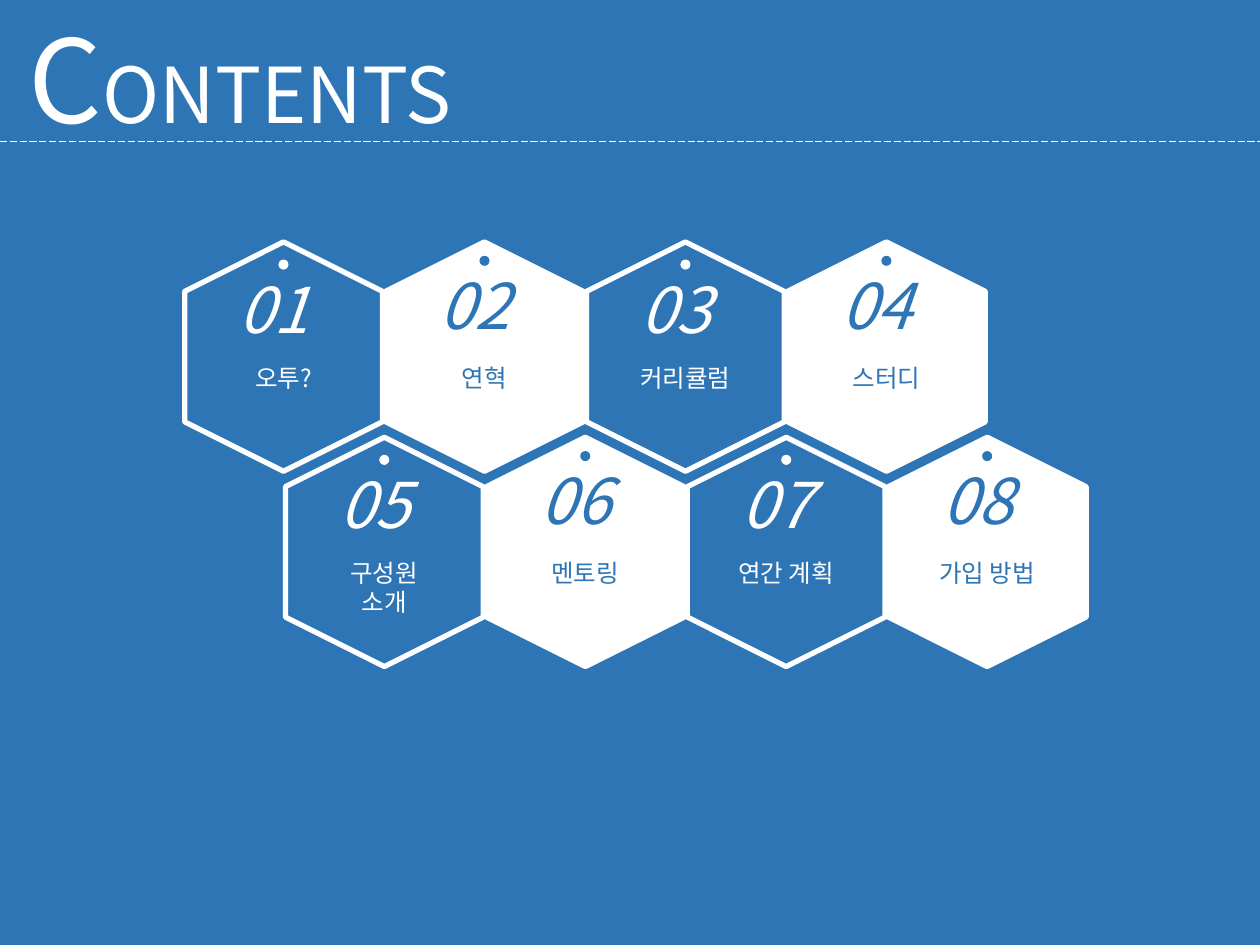
import pptx
import pptx.dml.color
import pptx.enum.dml
import pptx.enum.shapes
import pptx.enum.text
import pptx.util
from lxml import etree

BLUE, WHITE = "2E75B6", "FFFFFF"
FONT = "Noto Sans CJK KR"
WIDE, HIGH = 10, 7.5
LEFT, TOP = 2.25, 2.83  # centre of the first cell
COL, ROW, SHIFT = 1.595, 1.55, 0.8
LONG, SHORT, DOT = 1.82, 1.57, 0.08
ROWS = [
    ["오투?", "연혁", "커리큘럼", "스터디"],
    ["구성원\v소개", "멘토링", "연간 계획", "가입 방법"],
]
SHAPE = pptx.enum.shapes.MSO_SHAPE
ALIGN = pptx.enum.text.PP_ALIGN


def tint(code):
    return pptx.dml.color.RGBColor.from_string(code)


def box(x, y, w, h):
    """Return left, top, width and height for a box centred on x, y."""
    return [pptx.util.Inches(n) for n in (x - w / 2, y - h / 2, w, h)]


def style(item, size, color, italic=False):
    look = {"name": FONT, "size": pptx.util.Pt(size), "bold": False, "italic": italic}
    for key, value in look.items():
        setattr(item.font, key, value)
    item.font.color.rgb = tint(color)


def frame(shape, wrap=False):
    form = {
        "word_wrap": wrap,
        "auto_size": pptx.enum.text.MSO_AUTO_SIZE.NONE,
        "vertical_anchor": pptx.enum.text.MSO_ANCHOR.TOP,
    }
    for key, value in form.items():
        setattr(shape.text_frame, key, value)
    return shape.text_frame.paragraphs[0]


def solid(group, kind, place, fill, line=None):
    shape = group.shapes.add_shape(kind, *place)
    shape.shadow.inherit = False
    if fill:
        shape.fill.solid()
        shape.fill.fore_color.rgb = tint(fill)
    else:
        shape.fill.background()
    if line:
        shape.line.color.rgb = tint(line)
        shape.line.width = pptx.util.Pt(3)
    else:
        shape.line.fill.background()
    return shape


def label(group, place, text, size, color, italic=False):
    para = frame(group.shapes.add_textbox(*place))
    para.alignment = ALIGN.CENTER
    para.text = text
    for run in para.runs:
        style(run, size, color, italic)


def cell(slide, row, col, text):
    x = LEFT + col * COL + row * SHIFT
    y = TOP + row * ROW
    full = col % 2 == 1
    ink = BLUE if full else WHITE
    lift = 0.03 if full else 0
    group = slide.shapes.add_group_shape()
    hexa = solid(group, SHAPE.HEXAGON, box(x, y, LONG, SHORT),
                 WHITE if full else None, WHITE)
    hexa.rotation = 90
    solid(group, SHAPE.OVAL, box(x, y - 0.73 - lift, DOT, DOT), ink)
    number = row * len(ROWS[0]) + col + 1
    label(group, box(x - 0.08, y - 0.38 - lift, 0.79, 0.71),
          f"{number:02}", 36, ink, True)
    label(group, box(x, y + 0.17, 1.14, 0.34), text, 14, ink)


def title(slide):
    shape = slide.shapes.title
    place = box(1.94, 0.615, 3.62, 1.21)
    for key, value in zip(("left", "top", "width", "height"), place):
        setattr(shape, key, value)
    para = frame(shape)
    para.alignment = ALIGN.LEFT
    for text, size in (("C", 66), ("ONTENTS", 44)):
        run = para.add_run()
        run.text = text
        style(run, size, WHITE)


def rule(slide, y):
    ends = [pptx.util.Inches(n) for n in (0, y, WIDE, y)]
    line = slide.shapes.add_connector(
        pptx.enum.shapes.MSO_CONNECTOR.STRAIGHT, *ends)
    line.line.color.rgb = tint(WHITE)
    line.line.width = pptx.util.Pt(0.5)
    line.line.dash_style = pptx.enum.dml.MSO_LINE.LONG_DASH
    props = line._element.spPr
    etree.SubElement(props, pptx.oxml.ns.qn("a:effectLst"))


def main():
    deck = pptx.Presentation()
    deck.slide_width = pptx.util.Inches(WIDE)
    deck.slide_height = pptx.util.Inches(HIGH)
    slide = deck.slides.add_slide(deck.slide_layouts[5])
    slide.background.fill.solid()
    slide.background.fill.fore_color.rgb = tint(BLUE)
    rule(slide, HIGH * 0.15)
    title(slide)
    for row, names in enumerate(ROWS):
        for col, text in enumerate(names):
            cell(slide, row, col, text)
    deck.save("out.pptx")


if __name__ == "__main__":
    main()
